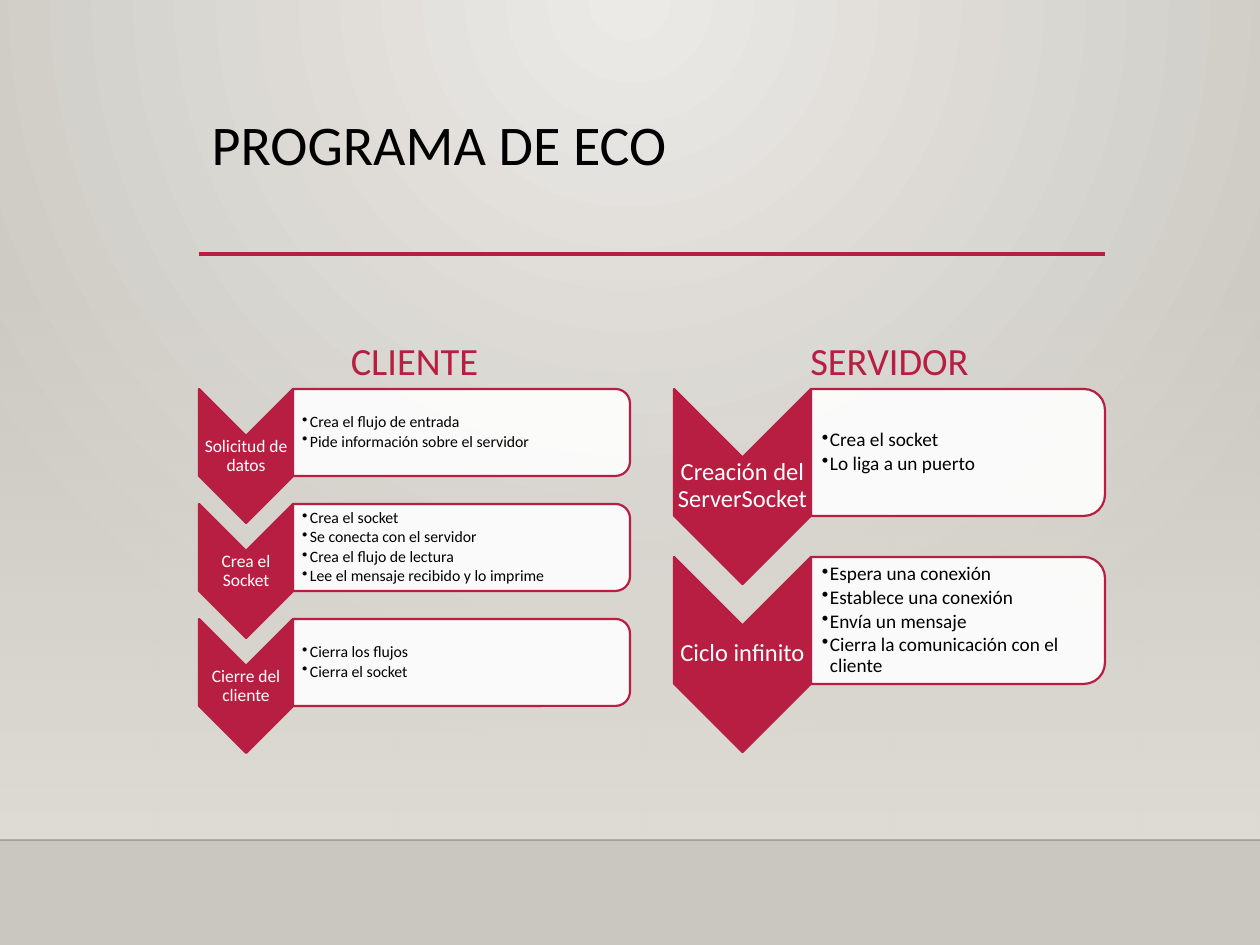
from pptx import Presentation
from pptx import util as u
from pptx.dml.color import RGBColor
from pptx.enum import shapes, text
from pptx.oxml import parse_xml
from pptx.oxml import ns
from pptx.oxml.xmlchemy import OxmlElement

CRIMSON = RGBColor(0xB7, 0x1E, 0x42)
BLACK = RGBColor(0, 0, 0)
HORIZON = RGBColor(0, 0, 1)
WHITE = RGBColor(0xFF, 0xFF, 0xFF)
LIGHT = RGBColor(0xEC, 0xEA, 0xE7)
SHADE = RGBColor(0xCA, 0xC7, 0xC1)
WALL = RGBColor(0xDF, 0xDB, 0xD5)

SCALE = 914400 / 126
WIDTH, HEIGHT = 1260, 945
FLOOR = 840
HEADER_TOP, STEPS_TOP = 278, 389
PANEL_WIDTH = 431

PANELS = [
    dict(header="CLIENTE", left=199, chevron=(94, 134), box_height=87, pitch=115,
         label_size=10, bullet_size=9, bullet_inset=9,
         steps=[
             ("Solicitud de datos", ["Crea el flujo de entrada",
                                     "Pide información sobre el servidor"]),
             ("Crea el Socket", ["Crea el socket", "Se conecta con el servidor",
                                 "Crea el flujo de lectura",
                                 "Lee el mensaje recibido y lo imprime"]),
             ("Cierre del cliente", ["Cierra los flujos", "Cierra el socket"]),
         ]),
    dict(header="SERVIDOR", left=674, chevron=(137, 195), box_height=127, pitch=168,
         label_size=14, bullet_size=11, bullet_inset=11,
         steps=[
             ("Creación del ServerSocket", ["Crea el socket", "Lo liga a un puerto"]),
             ("Ciclo infinito", ["Espera una conexión", "Establece una conexión",
                                 "Envía un mensaje",
                                 "Cierra la comunicación con el cliente"]),
         ]),
]


def px(*lengths):
    return [u.Emu(round(length * SCALE)) for length in lengths]


def set_alpha(element, percent):
    color = element.find(".//" + ns.qn("a:srgbClr"))
    alpha = OxmlElement("a:alpha")
    alpha.set("val", str(percent * 1000))
    color.append(alpha)


class SlideBuilder:
    font = "Calibri"
    outline = u.Pt(1.25)

    def __init__(self, presentation):
        self.slide = presentation.slides.add_slide(presentation.slide_layouts[5])

    def gradient(self, fill, *colors):
        fill.gradient()
        for stop, color in zip(fill.gradient_stops, colors):
            stop.color.rgb = color

    def background(self):
        self.gradient(self.slide.background.fill, LIGHT, SHADE)
        linear = self.slide.element.find(".//" + ns.qn("a:lin"))
        circle = parse_xml(f'<a:path {ns.nsdecls("a")} path="circle">'
                           '<a:fillToRect l="43000" r="43000" b="100000"/></a:path>')
        linear.getparent().replace(linear, circle)

    def wall(self, top, bottom):
        shape = self.slide.shapes.add_shape(
            shapes.MSO_SHAPE.RECTANGLE, *px(0, top, WIDTH, bottom - top))
        shape.shadow.inherit = False
        shape.line.fill.background()
        self.gradient(shape.fill, WALL, WALL)
        shape.fill.gradient_angle = 270
        set_alpha(shape.element.spPr, 0)

    def rule(self, left, right, y, color, points, alpha=100):
        line = self.slide.shapes.add_connector(
            shapes.MSO_CONNECTOR.STRAIGHT, *px(left, y, right, y))
        line.line.color.rgb = color
        line.line.width = u.Pt(points)
        set_alpha(line.element.spPr, alpha)
        line.element.spPr.append(OxmlElement("a:effectLst"))

    def fill_text(self, shape, lines, size, color, align, anchor, spacing=0.9):
        frame = shape.text_frame
        frame.text = "\n".join(lines)
        frame.word_wrap = True
        frame.auto_size = text.MSO_AUTO_SIZE.NONE
        frame.vertical_anchor = anchor
        for paragraph in frame.paragraphs:
            paragraph.alignment = align
            paragraph.line_spacing = spacing
            for run in paragraph.runs:
                run.font.name = self.font
                run.font.size = u.Pt(size)
                run.font.color.rgb = color
        return frame

    def title(self, words, left, top, width, height):
        shape = self.slide.shapes.title
        shape.left, shape.top, shape.width, shape.height = px(left, top, width, height)
        self.fill_text(shape, [words], 32, BLACK, text.PP_ALIGN.LEFT,
                       text.MSO_ANCHOR.TOP)

    def header(self, words, left):
        shape = self.slide.shapes.add_textbox(
            *px(left, HEADER_TOP, PANEL_WIDTH, STEPS_TOP - HEADER_TOP))
        self.fill_text(shape, [words], 22, CRIMSON, text.PP_ALIGN.CENTER,
                       text.MSO_ANCHOR.BOTTOM, 1.0)

    def turned_shape(self, kind, left, top, width, height, fill):
        shape = self.slide.shapes.add_shape(
            kind, *px(left + (width - height) / 2, top + (height - width) / 2,
                      height, width))
        shape.rotation = 90
        shape.shadow.inherit = False
        shape.fill.solid()
        shape.fill.fore_color.rgb = fill
        shape.line.color.rgb = CRIMSON
        shape.line.width = self.outline
        return shape

    def tight_text(self, box, lines, size, color, align, left_inset=1):
        shape = self.slide.shapes.add_textbox(*px(*box))
        frame = self.fill_text(shape, lines, size, color, align, text.MSO_ANCHOR.MIDDLE)
        (frame.margin_left, frame.margin_top,
         frame.margin_right, frame.margin_bottom) = px(left_inset, 1, 1, 1)
        return frame

    def chevron(self, label, left, top, width, height, size):
        self.turned_shape(shapes.MSO_SHAPE.CHEVRON, left, top, width, height, CRIMSON)
        self.tight_text((left, top + width // 2, width, height - width),
                        [label], size, WHITE, text.PP_ALIGN.CENTER)

    def bullet_box(self, bullets, left, top, width, height, size, inset):
        shape = self.turned_shape(shapes.MSO_SHAPE.ROUND_2_SAME_RECTANGLE,
                                  left, top, width, height, WHITE)
        set_alpha(shape.element.spPr, 90)
        gap = round(height * 0.05)
        frame = self.tight_text((left, top + gap, width - gap, height - 2 * gap),
                                bullets, size, BLACK, text.PP_ALIGN.LEFT, inset)
        indent = px(8)[0]
        for paragraph in frame.paragraphs:
            paragraph.level = 1
            paragraph.space_after = u.Pt(round(size * 0.15, 2))
            properties = paragraph._p.get_or_add_pPr()
            properties.set("marL", str(indent))
            properties.set("indent", str(-indent))
            bullet = OxmlElement("a:buChar")
            bullet.set("char", "•")
            properties.append(bullet)

    def panel(self, header, left, chevron, box_height, pitch,
              label_size, bullet_size, bullet_inset, steps):
        self.header(header, left)
        width, height = chevron
        for index, (label, bullets) in enumerate(steps):
            top = STEPS_TOP + index * pitch
            self.chevron(label, left, top, width, height, label_size)
            self.bullet_box(bullets, left + width, top, PANEL_WIDTH - width,
                            box_height, bullet_size, bullet_inset)


def main():
    presentation = Presentation()
    presentation.slide_width, presentation.slide_height = px(WIDTH, HEIGHT)
    builder = SlideBuilder(presentation)
    builder.background()
    builder.wall(277, FLOOR)
    builder.rule(0, WIDTH, FLOOR, HORIZON, 1, 20)
    builder.rule(199, 1105, 254, CRIMSON, 2.5)
    builder.title("PROGRAMA DE ECO", 199, 111, 906, 146)
    for panel in PANELS:
        builder.panel(**panel)
    presentation.save("out.pptx")


if __name__ == "__main__":
    main()
